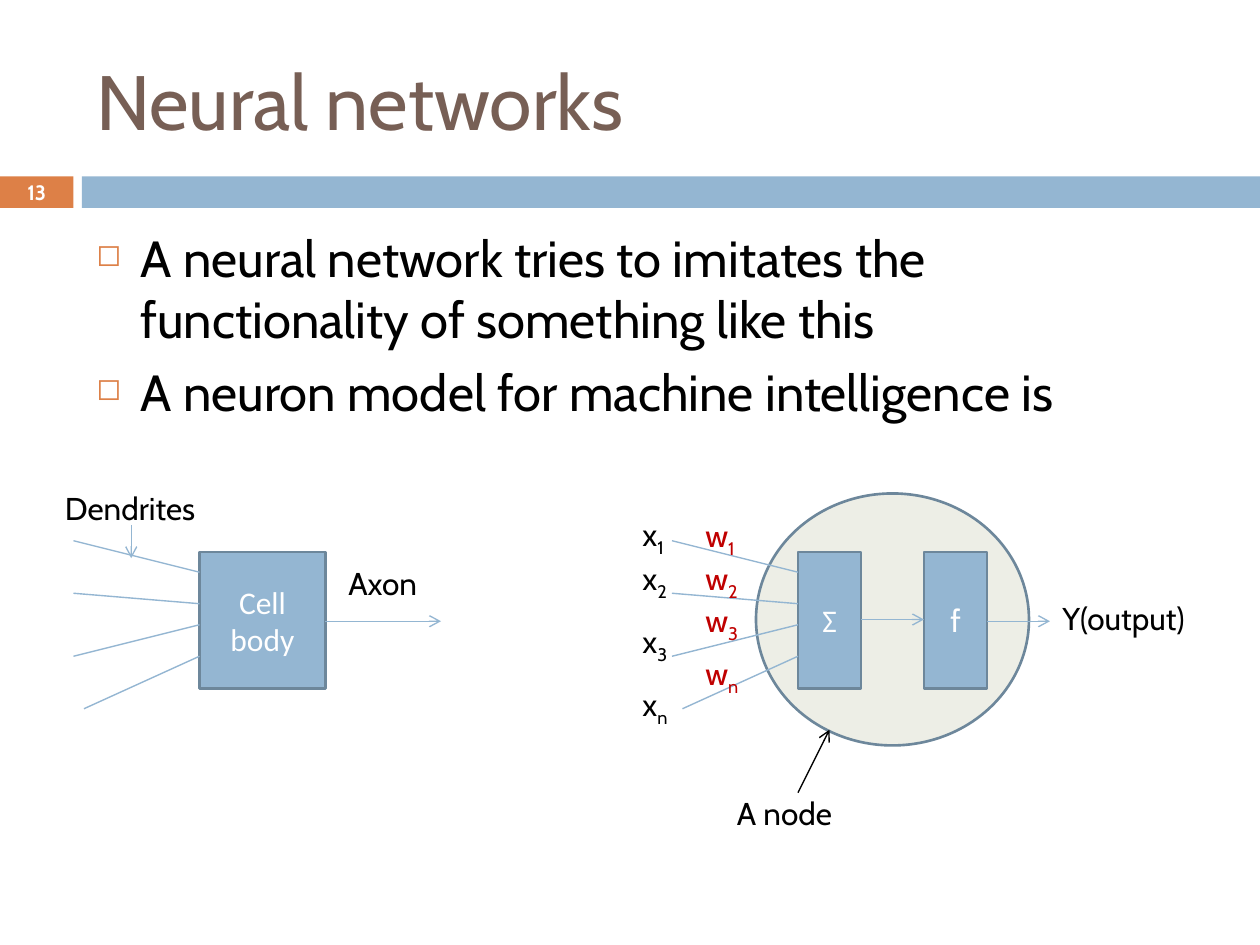
"""Build the slide that compares a biological neuron with a neural network node."""
from lxml.etree import SubElement
from pptx import Presentation
from pptx.dml.color import RGBColor
from pptx.enum.shapes import MSO_CONNECTOR as Connector, MSO_SHAPE as Shape
from pptx.enum.text import MSO_ANCHOR as Anchor, PP_ALIGN as Align
from pptx.oxml.ns import qn
from pptx.util import Pt

BLUE, ORANGE, EDGE, CREAM = "94B6D2", "DD8047", "6D879B", "EDEEE6"
BROWN, RED, BLACK, WHITE = "775F55", "C00000", "000000", "FFFFFF"

TITLE = "Neural networks"
PAGE_NUMBER = "13"
POINTS = [
    "A neural network tries to imitates the functionality of something like this",
    "A neuron model for machine intelligence is",
]
BANDS = [(0, 42, ORANGE), (46.8, 673.2, BLUE)]
BODIES = [
    ("Σ", 456, 36, "Calibri"),
    ("f", 528, 36, "Cabin"),
    ("Cell body", 114, 72, "Calibri"),
]
BODY_TOP, BODY_HEIGHT = 315.5, 78
DENDRITES = [(42, 309, 327), (42, 339, 345), (42, 375, 357), (48, 405, 375)]
DENDRITE_END, NODE_SHIFT = 114, 342
ARROWS = [
    (492, 354, 528, 354, BLUE),
    (564, 355, 600, 355, BLUE),
    (186, 355, 252, 355, BLUE),
    (75, 300, 75, 319, BLUE),
    (456, 453, 474, 417, BLACK),
]
SUBSCRIPTS = ["1", "2", "3", "n"]
VARIABLES = [
    ("x", 360, [291, 316, 352, 388], BLACK),
    ("w", 396, [291.5, 316, 340, 370], RED),
]
LABELS = [
    ("Y(output)", 600, 339, 108),
    ("Axon", 192, 319, 108),
    ("Dendrites", 30, 276, 90),
    ("A node", 414, 450, 90),
]


def color(value):
    return RGBColor.from_string(value)


def style(paragraph, size, ink, face="Cabin", bold=False):
    font = paragraph.font
    font.size, font.name, font.bold = Pt(size), face, bold
    font.color.rgb = color(ink)


def add_block(slide, kind, box, fill, edge=None):
    block = slide.shapes.add_shape(kind, *map(Pt, box))
    block.shadow.inherit = False
    block.fill.solid()
    block.fill.fore_color.rgb = color(fill)
    if edge:
        block.line.color.rgb = color(edge)
        block.line.width = Pt(1.5)
    else:
        block.line.fill.background()
    return block


def add_text(slide, text, box, size=18, ink=BLACK, bold=False,
             anchor=Anchor.TOP, align=Align.LEFT):
    frame = slide.shapes.add_textbox(*map(Pt, box)).text_frame
    frame.word_wrap = True
    frame.vertical_anchor = anchor
    paragraph = frame.paragraphs[0]
    paragraph.text = text
    paragraph.alignment = align
    style(paragraph, size, ink, bold=bold)
    return frame


def add_line(slide, x1, y1, x2, y2, ink=BLUE, arrow=False):
    line = slide.shapes.add_connector(Connector.STRAIGHT, *map(Pt, (x1, y1, x2, y2)))
    line.line.color.rgb = color(ink)
    line.line.width = Pt(0.79)
    if arrow:
        SubElement(line.line._get_or_add_ln(), qn("a:tailEnd"), type="arrow")
    SubElement(line._element.spPr, qn("a:effectLst"))


def add_bullet(paragraph):
    properties = paragraph._p.get_or_add_pPr()
    properties.set("marL", str(Pt(25.2)))
    properties.set("indent", str(Pt(-25.2)))
    bullet_color = SubElement(properties, qn("a:buClr"))
    SubElement(bullet_color, qn("a:srgbClr"), val=ORANGE)
    SubElement(properties, qn("a:buSzPct"), val="60000")
    SubElement(properties, qn("a:buChar"), char="◻")


def add_points(slide):
    frame = add_text(slide, POINTS[0], (48, 126, 642, 354), 29)
    frame.add_paragraph().text = POINTS[1]
    frame.paragraphs[1].space_before = Pt(7)
    for paragraph in frame.paragraphs:
        add_bullet(paragraph)
        style(paragraph, 29, BLACK)


def add_body(slide, text, left, width, face):
    body = add_block(slide, Shape.RECTANGLE, (left, BODY_TOP, width, BODY_HEIGHT), BLUE, EDGE)
    body.text_frame.word_wrap = True
    body.text_frame.vertical_anchor = Anchor.MIDDLE
    paragraph = body.text_frame.paragraphs[0]
    paragraph.text = text
    paragraph.alignment = Align.CENTER
    style(paragraph, 18, WHITE, face)


def add_variable(slide, letter, subscript, left, top, ink):
    paragraph = add_text(slide, letter, (left, top, 36, 29), ink=ink).paragraphs[0]
    index = paragraph.add_run()
    index.text = subscript
    index._r.get_or_add_rPr().set("baseline", "-25000")


def main():
    deck = Presentation()
    deck.slide_width, deck.slide_height = Pt(720), Pt(540)
    slide = deck.slides.add_slide(deck.slide_layouts[6])

    for left, width, fill in BANDS:
        add_block(slide, Shape.RECTANGLE, (left, 100.8, width, 18), fill)
    add_block(slide, Shape.OVAL, (432, 282, 156, 144), CREAM, EDGE)
    add_text(slide, TITLE, (48, 18, 642, 78), 44, BROWN, anchor=Anchor.MIDDLE)
    add_points(slide)

    for body in BODIES:
        add_body(slide, *body)
    for shift in (0, NODE_SHIFT):
        for start, y1, y2 in DENDRITES:
            add_line(slide, start + shift, y1, DENDRITE_END + shift, y2)
    for arrow in ARROWS:
        add_line(slide, *arrow, arrow=True)

    for letter, left, tops, ink in VARIABLES:
        for subscript, top in zip(SUBSCRIPTS, tops):
            add_variable(slide, letter, subscript, left, top, ink)
    for text, left, top, width in LABELS:
        add_text(slide, text, (left, top, width, 29))
    add_text(slide, PAGE_NUMBER, (0, 100, 42, 19.5), 11.9, WHITE, True,
             Anchor.MIDDLE, Align.CENTER)
    deck.save("out.pptx")


if __name__ == "__main__":
    main()
